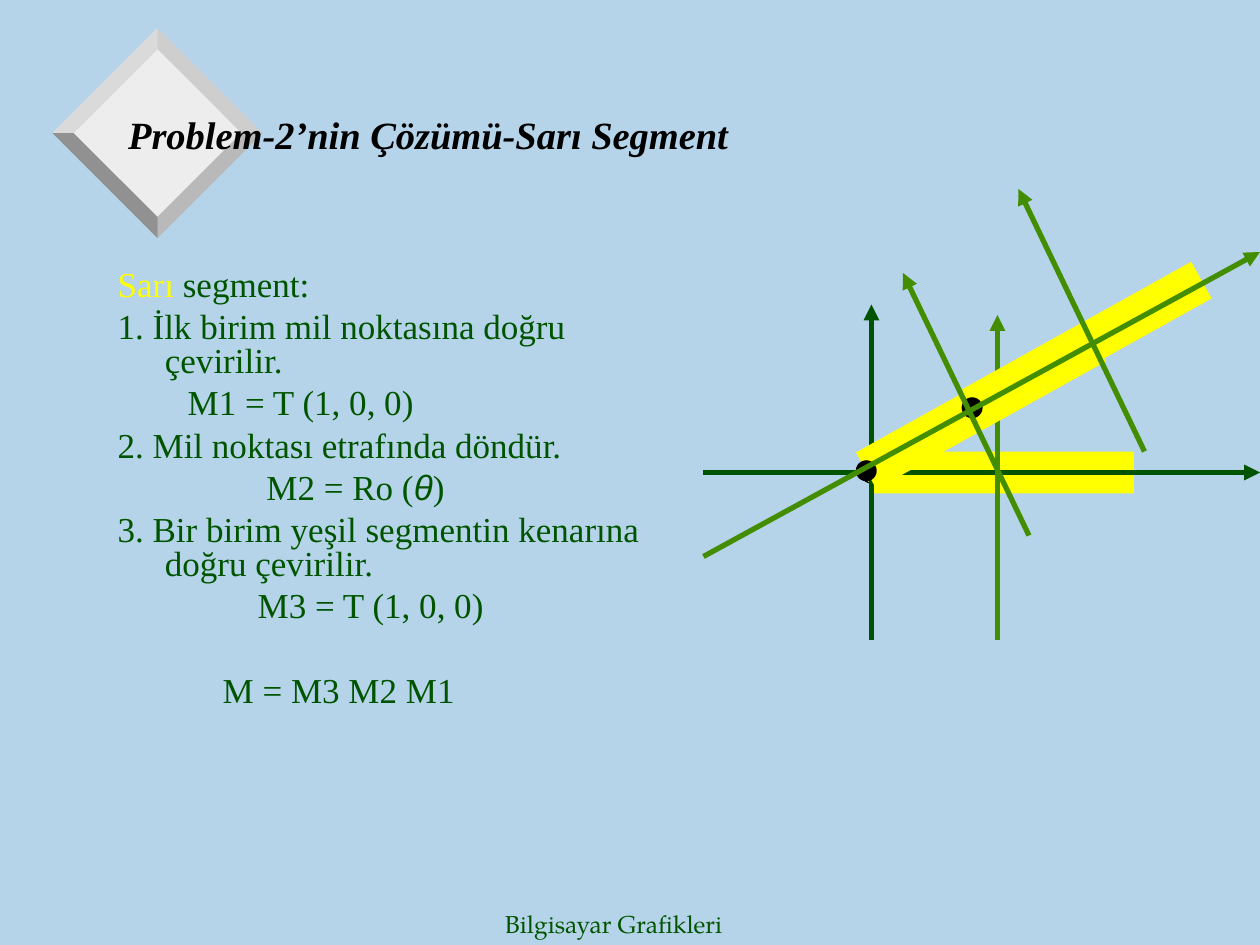
from math import cos, radians, sin

from lxml.etree import SubElement
from pptx import Presentation
from pptx.dml.color import RGBColor
from pptx.enum.shapes import MSO_CONNECTOR, MSO_SHAPE
from pptx.enum.text import MSO_ANCHOR, MSO_AUTO_SIZE, PP_ALIGN
from pptx.oxml.ns import qn
from pptx.util import Pt

SKY = RGBColor(0xB5, 0xD4, 0xE9)
BLACK = RGBColor(0, 0, 0)
YELLOW = RGBColor(0xFF, 0xFF, 0)
DARK_GREEN = RGBColor(0, 0x54, 0)
GREEN = RGBColor(0x43, 0x8E, 0)
DIAMOND_FACE = RGBColor(0xED, 0xED, 0xED)
# Bevel facets, clockwise from the upper right
BEVELS = [RGBColor(*[grey] * 3) for grey in (0xCE, 0xB9, 0x91, 0xDA)]

SERIF = "Times New Roman"
ARM_LENGTH, ARM_WIDTH, JOINT_SIZE = 150, 24, 12
TILT = 29.1

# Each line: left offset of its first row, space before, runs
EQUATION_FONT = "Arial"
STEPS = [
    (0, 0, [("Sarı", YELLOW, SERIF), (" segment:", DARK_GREEN, SERIF)]),
    (0, 5, [("1. İlk birim mil noktasına doğru çevirilir.", DARK_GREEN, SERIF)]),
    (40, 5, [("M1 = T (1, 0, 0)", DARK_GREEN, SERIF)]),
    (0, 5, [("2. Mil noktası etrafında döndür.", DARK_GREEN, SERIF)]),
    (85, 5, [("M2 = Ro (", DARK_GREEN, SERIF), ("θ", DARK_GREEN, EQUATION_FONT),
             (")", DARK_GREEN, SERIF)]),
    (0, 5, [("3. Bir birim yeşil segmentin kenarına doğru çevirilir.",
             DARK_GREEN, SERIF)]),
    (80, 5, [("M3 = T (1, 0, 0)", DARK_GREEN, SERIF)]),
    (60, 29.25, [("M = M3 M2 M1", DARK_GREEN, SERIF)]),
]


def place(part, left, top, width, height):
    part.left, part.top = Pt(left), Pt(top)
    part.width, part.height = Pt(width), Pt(height)


def add_run(paragraph, text, size, color, font_name):
    run = paragraph.add_run()
    run.text = text
    run.font.size, run.font.name = Pt(size), font_name
    run.font.color.rgb = color
    return run


def paint(part, fill):
    part.shadow.inherit = False
    part.fill.solid()
    part.fill.fore_color.rgb = fill
    part.line.fill.background()


def add_polygon(slide, corners, fill):
    builder = slide.shapes.build_freeform(*corners[0], scale=Pt(1))
    builder.add_line_segments(corners[1:], close=True)
    paint(builder.convert_to_shape(), fill)


def add_diamond(slide, left, top, size, bevel):
    radius = size / 2

    def corners(reach):
        x, y = left + radius, top + radius
        return [(x, y - reach), (x + reach, y), (x, y + reach), (x - reach, y)]

    outer, inner = corners(radius), corners(radius - bevel)
    add_polygon(slide, inner, DIAMOND_FACE)
    for side, grey in enumerate(BEVELS):
        after = (side + 1) % 4
        add_polygon(slide, [outer[side], outer[after], inner[after], inner[side]],
                    grey)


def add_title(slide, left, top, width, height):
    title = slide.shapes.title
    place(title, left, top, width, height)
    frame = title.text_frame
    frame.auto_size = MSO_AUTO_SIZE.NONE
    frame.vertical_anchor = MSO_ANCHOR.MIDDLE
    heading = frame.paragraphs[0]
    heading.alignment = PP_ALIGN.LEFT
    run = add_run(heading, "Problem-2’nin Çözümü-Sarı Segment", 22, BLACK, SERIF)
    run.font.bold = run.font.italic = True


def add_steps(slide, left, top, width, height):
    body = slide.placeholders[1]
    place(body, left, top, width, height)
    frame = body.text_frame
    frame.auto_size = MSO_AUTO_SIZE.NONE
    hanging = Pt(27)
    for number, (offset, space, runs) in enumerate(STEPS):
        step = frame.add_paragraph() if number else frame.paragraphs[0]
        step.line_spacing = 0.8
        step.space_before = Pt(space)
        properties = step._p.get_or_add_pPr()
        properties.set("marL", str(hanging))
        properties.set("indent", str(Pt(offset) - hanging))
        SubElement(properties, qn("a:buNone"))
        for text, color, font_name in runs:
            run = add_run(step, text, 20, color, font_name)
            run.font.italic = font_name == EQUATION_FONT


def add_footer(slide, left, top, width, height):
    footer = slide.shapes.add_textbox(Pt(left), Pt(top), Pt(width), Pt(height))
    frame = footer.text_frame
    frame.word_wrap = False
    frame.vertical_anchor = MSO_ANCHOR.MIDDLE
    add_run(frame.paragraphs[0], "Bilgisayar Grafikleri", 14, DARK_GREEN,
            "TeX Gyre Pagella")


def add_axis(slide, start, end, color):
    axis = slide.shapes.add_connector(
        MSO_CONNECTOR.STRAIGHT, *[Pt(value) for value in (*start, *end)])
    axis.line.color.rgb, axis.line.width = color, Pt(3)
    SubElement(axis.line._get_or_add_ln(), qn("a:tailEnd"), type="triangle")
    SubElement(axis._element.spPr, qn("a:effectLst"))


def add_arm(slide, pivot, tilt, joint_fill):
    """Yellow bar that starts at its pivot joint and rises by tilt degrees."""
    x, y = pivot
    middle_x = x + ARM_LENGTH / 2 * cos(radians(tilt))
    middle_y = y - ARM_LENGTH / 2 * sin(radians(tilt))
    parts = []
    for kind, center_x, center_y, width, height, fill in (
            (MSO_SHAPE.RECTANGLE, middle_x, middle_y, ARM_LENGTH, ARM_WIDTH, YELLOW),
            (MSO_SHAPE.OVAL, x, y, JOINT_SIZE, JOINT_SIZE, joint_fill)):
        part = slide.shapes.add_shape(
            kind, Pt(center_x - width / 2), Pt(center_y - height / 2),
            Pt(width), Pt(height))
        part.rotation = -tilt
        paint(part, fill)
        parts.append(part)
    return parts


def add_arm_diagram(slide, left, top, width, height):
    def at(x, y):
        return left + x, top + y

    # Arm before the rotation, with an outlined joint
    _, joint = add_arm(slide, at(96, 162), 0, YELLOW)
    joint.line.color.rgb, joint.line.width = BLACK, Pt(0.75)

    # Upright axes
    add_axis(slide, at(0, 162), at(width, 162), DARK_GREEN)
    add_axis(slide, at(96, height), at(96, 66), DARK_GREEN)
    add_axis(slide, at(168, height), at(168, 72), GREEN)

    # Rotated arms
    for pivot in (at(93, 161), at(153.5, 125)):
        add_arm(slide, pivot, TILT, BLACK)

    # Rotated axes
    add_axis(slide, at(252, 150), at(180, 0), GREEN)
    add_axis(slide, at(0, 210), at(width, 36), GREEN)
    add_axis(slide, at(186, 198), at(114, 48), GREEN)


def main():
    deck = Presentation()
    deck.slide_width, deck.slide_height = Pt(720), Pt(540)
    slide = deck.slides.add_slide(deck.slide_layouts[1])
    slide.background.fill.solid()
    slide.background.fill.fore_color.rgb = SKY

    add_diamond(slide, 30, 16.5, 120, 12)
    add_footer(slide, 281.5, 516, 150, 24)
    add_title(slide, 66, 33, 612, 87)
    add_steps(slide, 60, 151, 330, 315)
    add_arm_diagram(slide, 402, 108, 318, 258)

    # Bring the title and the steps in front of the diamond
    tree = slide.shapes._spTree
    first_arm = next(part for part in slide.shapes if part.left >= Pt(402))
    for text_part in (slide.shapes.title, slide.placeholders[1]):
        tree.remove(text_part._element)
        first_arm._element.addprevious(text_part._element)

    deck.save("out.pptx")


if __name__ == "__main__":
    main()
